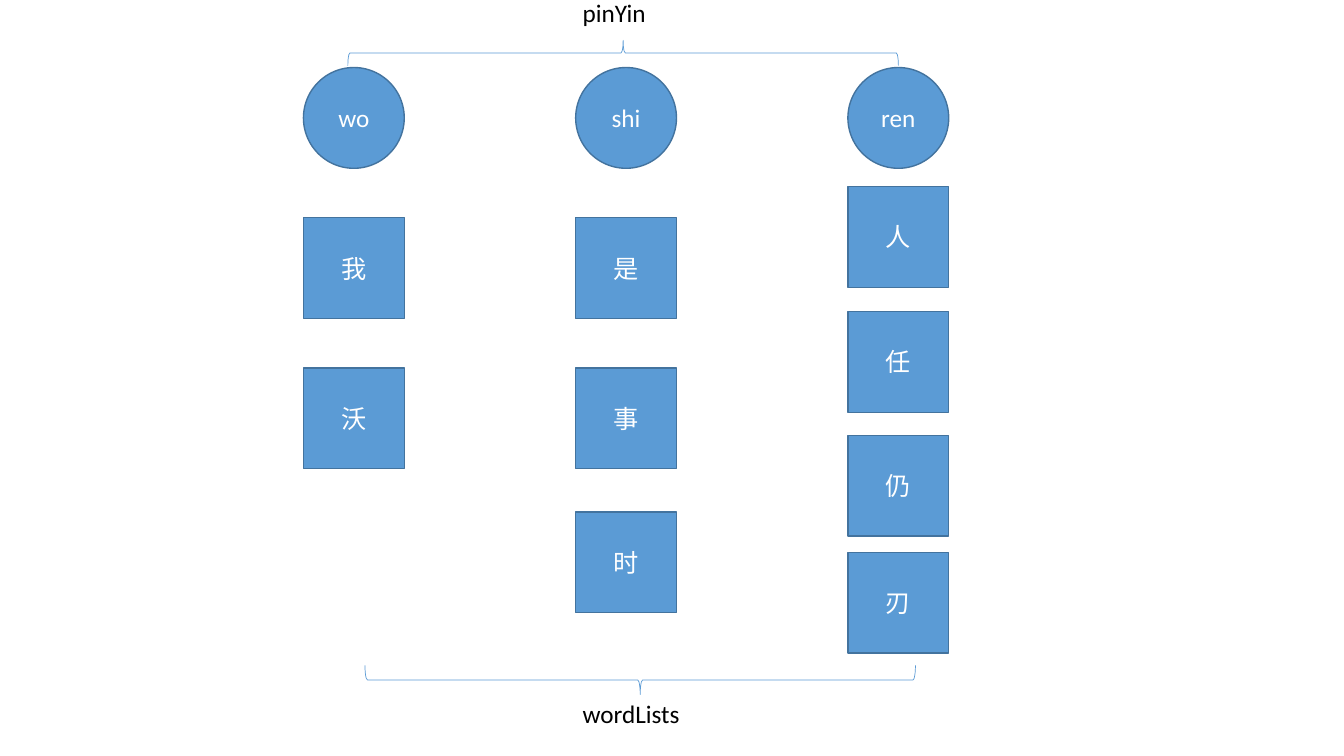
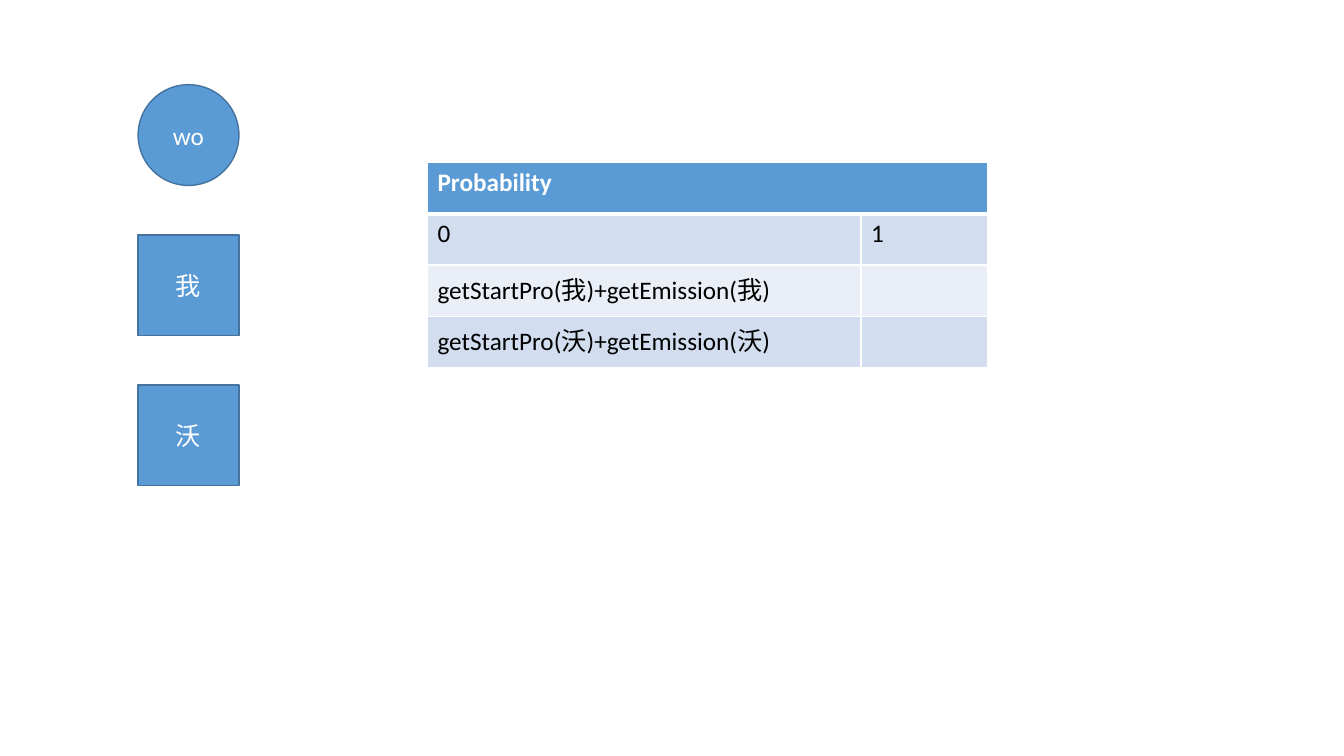
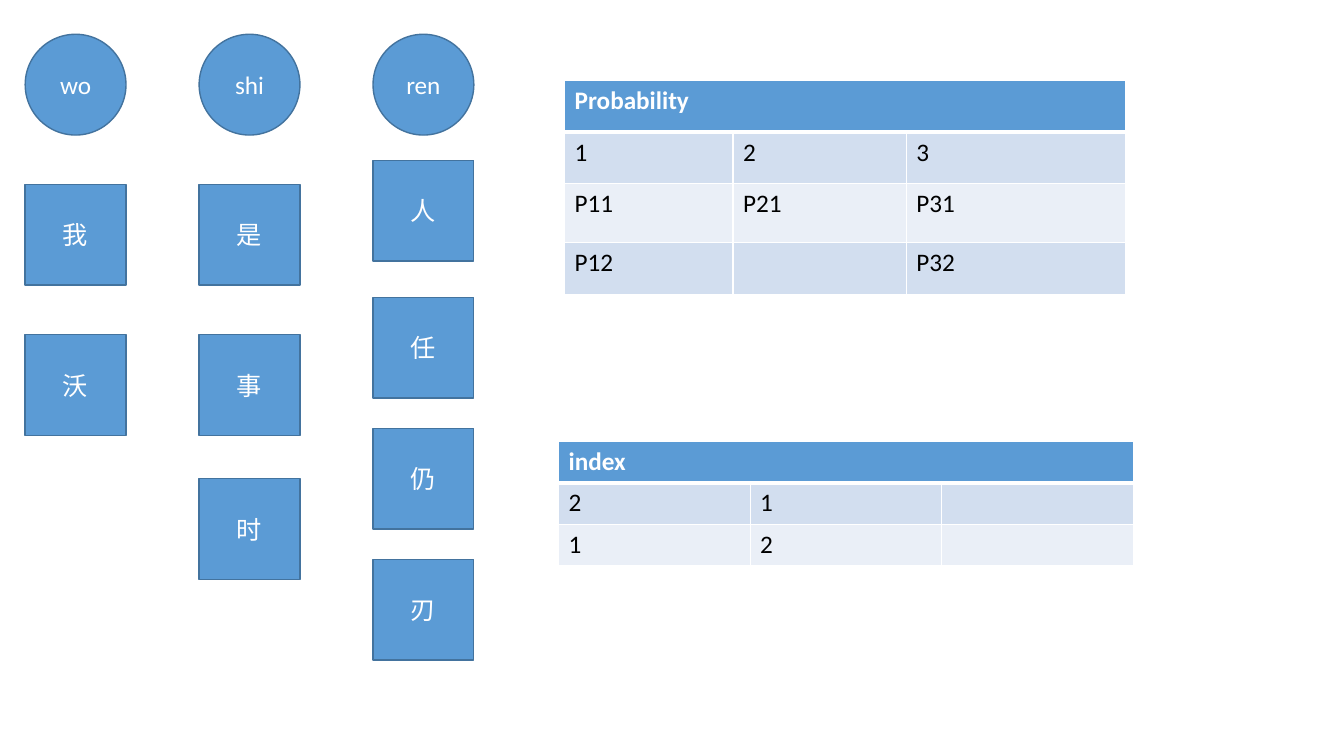
from lxml import etree
from pptx import Presentation
from pptx.dml.color import RGBColor
from pptx.enum.shapes import MSO_SHAPE
from pptx.enum.text import MSO_ANCHOR, PP_ALIGN
from pptx.oxml.ns import qn
from pptx.util import Inches, Pt

CIRCLE, SQUARE, BRACE = MSO_SHAPE.OVAL, MSO_SHAPE.RECTANGLE, MSO_SHAPE.LEFT_BRACE
MIDDLE, CENTER = MSO_ANCHOR.MIDDLE, PP_ALIGN.CENTER

FONT, TEXT_SIZE = "Calibri", 18
BLUE, OUTLINE, WHITE, BLACK = "5B9BD5", "43739E", "FFFFFF", "000000"
BANDS = ("D2DEEF", "EAEFF7")
NODE_SIZE = 1
SYLLABLES = {"wo": "我沃", "shi": "是事时", "ren": "人任仍刃"}
EVEN_STEPS = (1.49, 2.98, 4.41)


def color(value):
    return RGBColor.from_string(value)


def write(frame, text, text_color, bold=False):
    para = frame.paragraphs[0]
    para.text = text
    para.font.name = FONT
    para.font.size = Pt(TEXT_SIZE)
    para.font.bold = bold
    para.font.color.rgb = color(text_color)
    return para


def add_node(page, kind, left, top, text):
    node = page.shapes.add_shape(
        kind, Inches(left), Inches(top), Inches(NODE_SIZE), Inches(NODE_SIZE))
    node.shadow.inherit = False
    node.fill.solid()
    node.fill.fore_color.rgb = color(BLUE)
    node.line.color.rgb = color(OUTLINE)
    node.line.width = Pt(1)
    node.text_frame.vertical_anchor = MIDDLE
    write(node.text_frame, text, WHITE).alignment = CENTER


def add_syllable(page, left, top, syllable, steps=EVEN_STEPS):
    add_node(page, CIRCLE, left, top, syllable)
    for word, step in zip(SYLLABLES[syllable], steps):
        add_node(page, SQUARE, left, top + step, word)


def add_syllables(page, left, top, pitch, ren_steps):
    for column, syllable in enumerate(SYLLABLES):
        steps = ren_steps if syllable == "ren" else EVEN_STEPS
        add_syllable(page, left + column * pitch, top, syllable, steps)


def add_brace(page, left, top, width, depth, rotation):
    brace = page.shapes.add_shape(
        BRACE, Inches(left + (width - depth) / 2), Inches(top + (depth - width) / 2),
        Inches(depth), Inches(width))
    brace.rotation = rotation
    brace.shadow.inherit = False
    brace.fill.background()
    brace.line.color.rgb = color(BLUE)
    brace.line.width = Pt(0.5)


def add_label(page, left, top, text):
    label = page.shapes.add_textbox(Inches(left), Inches(top), Inches(3.04), Inches(0.4))
    label.text_frame.word_wrap = True
    write(label.text_frame, text, BLACK)


def set_borders(cell, top_width, bottom_width):
    properties = cell._tc.get_or_add_tcPr()
    widths = {"a:lnL": 1, "a:lnR": 1, "a:lnT": top_width, "a:lnB": bottom_width}
    for position, (tag, width) in enumerate(widths.items()):
        line = etree.Element(qn(tag), w=str(Pt(width)))
        fill = etree.SubElement(line, qn("a:solidFill"))
        etree.SubElement(fill, qn("a:srgbClr"), val=WHITE)
        properties.insert(position, line)


def add_grid(page, left, top, widths, heights, title, rows):
    grid = page.shapes.add_table(
        len(heights), len(widths), Inches(left), Inches(top),
        Inches(sum(widths)), Inches(sum(heights))).table
    for column, width in zip(grid.columns, widths):
        column.width = Inches(width)
    for row, height in zip(grid.rows, heights):
        row.height = Inches(height)
    blank_titles = [""] * (len(widths) - 1)
    for number, texts in enumerate([[title] + blank_titles] + rows):
        header = number == 0
        for column, text in enumerate(texts):
            cell = grid.cell(number, column)
            cell.fill.solid()
            cell.fill.fore_color.rgb = color(BLUE if header else BANDS[(number - 1) % 2])
            set_borders(cell, 3 if number == 1 else 1, 3 if header else 1)
            write(cell.text_frame, text, WHITE if header else BLACK, header)
    grid.cell(0, 0).merge(grid.cell(0, len(widths) - 1))


def build_words_page(page):
    add_syllables(page, 3.01, 0.67, 2.7, (1.18, 2.42, 3.65, 4.81))
    add_brace(page, 3.45, 0.4, 5.46, 0.25, 90)
    add_label(page, 5.68, -0.08, "pinYin")
    add_brace(page, 3.62, 6.6, 5.46, 0.29, 270)
    add_label(page, 5.68, 6.88, "wordLists")


def build_start_page(page):
    add_syllable(page, 1.37, 0.84, "wo")
    rows = [[f"getStartPro({word})+getEmission({word})", ""] for word in SYLLABLES["wo"]]
    add_grid(page, 4.24, 1.61, (4.3, 1.25), [0.51] * 4, "Probability", [["0", "1"]] + rows)


def build_result_page(page):
    add_syllables(page, 0.25, 0.34, 1.725, (1.25, 2.61, 3.91, 5.21))
    add_grid(page, 5.6, 0.8, (1.67, 1.72, 2.17), (0.51, 0.51, 0.59, 0.51), "Probability",
             [["1", "2", "3"], ["P11", "P21", "P31"], ["P12", "", "P32"]])
    add_grid(page, 5.54, 4.38, [1.9] * 3, [0.41] * 3, "index",
             [["2", "1", ""], ["1", "2", ""]])


def main():
    deck = Presentation()
    deck.slide_width, deck.slide_height = Inches(13.33), Inches(7.5)
    blank = deck.slide_layouts.get_by_name("Blank")
    for build in (build_words_page, build_start_page, build_result_page):
        build(deck.slides.add_slide(blank))
    deck.save("out.pptx")


if __name__ == "__main__":
    main()
